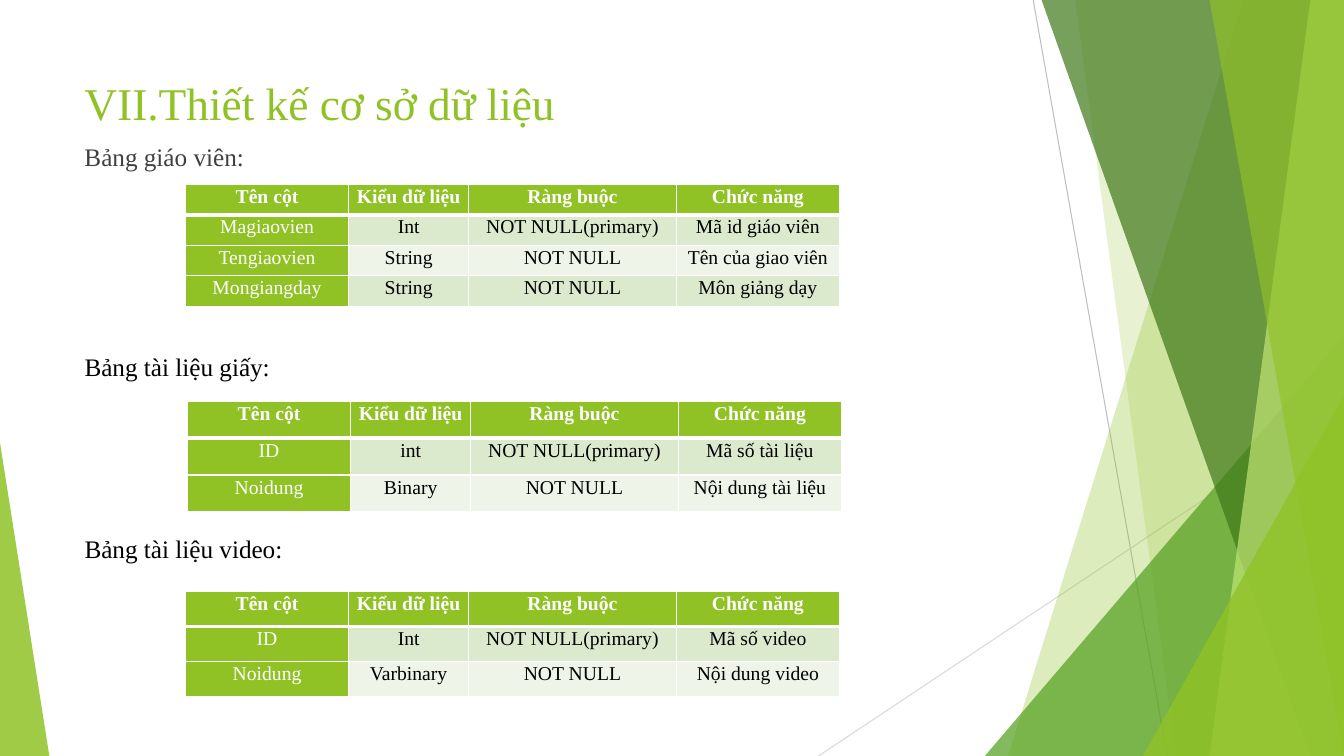
from lxml.etree import SubElement
from pptx import Presentation
from pptx.dml.color import RGBColor
from pptx.enum.shapes import MSO_CONNECTOR, MSO_SHAPE
from pptx.enum.text import MSO_ANCHOR, PP_ALIGN
from pptx.oxml import parse_xml
from pptx.oxml.ns import nsdecls, qn
from pptx.util import Inches, Pt

deck = Presentation()
deck.slide_width, deck.slide_height = Inches(13.33), Inches(7.5)
slide = deck.slides.add_slide(deck.slide_layouts[6])
shapes = slide.shapes
COLS, ROWS = 40, 30
COL, ROW = deck.slide_width / COLS, deck.slide_height / ROWS
GREEN, WHITE, BLACK = "90C226", "FFFFFF", "000000"


def paint(fill, colour):
    fill.solid()
    fill.fore_color.rgb = RGBColor.from_string(colour)


def write(frame, text, size, colour, bold=False):
    frame.text = text
    font = frame.paragraphs[0].runs[0].font
    font.name, font.size, font.bold = "Times New Roman", Pt(size), bold
    paint(font.fill, colour)


rays = [
    (30.75, 0, 34.74, ROWS, "BFBFBF"),
    (COLS, 16.12, 24.36, ROWS, "D9D9D9"),
]
for x1, y1, x2, y2, colour in rays:
    ray = shapes.add_connector(
        MSO_CONNECTOR.STRAIGHT, int(x1 * COL), int(y1 * ROW), int(x2 * COL), int(y2 * ROW)
    )
    ray.line.width = Pt(0.75)
    paint(ray.line.fill, colour)
    SubElement(ray.element.spPr, qn("a:effectLst"))

# top and bottom column of the slanted edge, right column, top row, colour, opacity
facets = [
    (36.84, 30.12, COLS, 0, GREEN, 30),
    (31.5, 35.49, COLS, 0, GREEN, 20),
    (COLS, 29.31, COLS, 13.32, "54A021", 72),
    (30.63, 38.73, COLS, 0, "3F7819", 70),
    (39.09, 35.76, COLS, 0, "C0E474", 70),
    (35.88, 39.54, COLS, 0, GREEN, 65),
    (COLS, 34.02, COLS, 15.72, GREEN, 80),
    (0, 0, 1.47, 17.56, GREEN, 85),
]
for top_col, bottom_col, right, top, colour, opacity in facets:
    if top:
        facet = shapes.add_shape(
            MSO_SHAPE.ISOSCELES_TRIANGLE, int(bottom_col * COL), int(top * ROW),
            int((right - bottom_col) * COL), int((ROWS - top) * ROW),
        )
        facet.adjustments[0] = 1 if top_col else 0
    else:
        outline = shapes.build_freeform(top_col, 0, scale=(COL, ROW))
        outline.add_line_segments([(right, 0), (right, ROWS), (bottom_col, ROWS)])
        facet = outline.convert_to_shape()
    facet.shadow.inherit = False
    facet.line.fill.background()
    paint(facet.fill, colour)
    for tone in facet.element.xpath("./p:spPr/a:solidFill/a:srgbClr"):
        SubElement(tone, qn("a:alpha"), val=str(opacity * 1000))

headings = [
    ("VII.Thiết kế cơ sở dữ liệu", 2.68, 28.2, 2.76, 32.4, GREEN, True, 0, MSO_ANCHOR.MIDDLE),
    ("Bảng giáo viên:", 5.4, 28.2, 1.92, 18, "404040", True, 10, MSO_ANCHOR.TOP),
    ("Bảng tài liệu giấy:", 13.76, 6.18, 1.6, 18, BLACK, False, 0, MSO_ANCHOR.TOP),
    ("Bảng tài liệu video:", 20.96, 6.57, 1.6, 18, BLACK, False, 0, MSO_ANCHOR.TOP),
]
for text, top, width, height, size, colour, wrap, space, anchor in headings:
    heading = shapes.add_textbox(
        int(2.22 * COL), int(top * ROW), int(width * COL), int(height * ROW)
    ).text_frame
    heading.word_wrap, heading.vertical_anchor = wrap, anchor
    write(heading, text, size, colour)
    heading.paragraphs[0].space_before = Pt(space)

field_widths = [4.86, 3.57, 6.18, 4.86]
header = ("Tên cột", "Kiểu dữ liệu", "Ràng buộc", "Chức năng")
schemas = [
    (5.52, 7.32, 4.84, [
        ("Magiaovien", "Int", "NOT NULL(primary)", "Mã id giáo viên"),
        ("Tengiaovien", "String", "NOT NULL", "Tên của giao viên"),
        ("Mongiangday", "String", "NOT NULL", "Môn giảng dạy"),
    ]),
    (5.58, 15.92, 4.4, [
        ("ID", "int", "NOT NULL(primary)", "Mã số tài liệu"),
        ("Noidung", "Binary", "NOT NULL", "Nội dung tài liệu"),
    ]),
    (5.52, 23.48, 4.16, [
        ("ID", "Int", "NOT NULL(primary)", "Mã số video"),
        ("Noidung", "Varbinary", "NOT NULL", "Nội dung video"),
    ]),
]
for left, top, height, fields in schemas:
    records = [header, *fields]
    schema = shapes.add_table(
        len(records), len(header), int(left * COL), int(top * ROW),
        int(sum(field_widths) * COL), int(height * ROW),
    ).table
    for column, width in zip(schema.columns, field_widths):
        column.width = int(width * COL)
    for r, record in enumerate(records):
        for c, value in enumerate(record):
            cell = schema.cell(r, c)
            green = r == 0 or c == 0
            write(cell.text_frame, value, 14, WHITE if green else BLACK, r == 0)
            paragraph = cell.text_frame.paragraphs[0]
            paragraph.alignment, paragraph.line_spacing = PP_ALIGN.CENTER, 1.07
            cell.margin_left = cell.margin_right = int(0.21 * COL)
            cell.margin_top = cell.margin_bottom = 0
            paint(cell.fill, GREEN if green else "DBE9CD" if r % 2 else "EEF4E8")
            borders = {"L": 1, "R": 1, "T": 3 if r == 1 else 1, "B": 3 if r == 0 else 1}
            for position, (side, points) in enumerate(borders.items()):
                border = parse_xml(
                    f'<a:ln{side} {nsdecls("a")} w="{Pt(points)}"><a:solidFill>'
                    f'<a:srgbClr val="{WHITE}"/></a:solidFill></a:ln{side}>'
                )
                cell.fill._xPr.insert(position, border)

deck.save("out.pptx")
